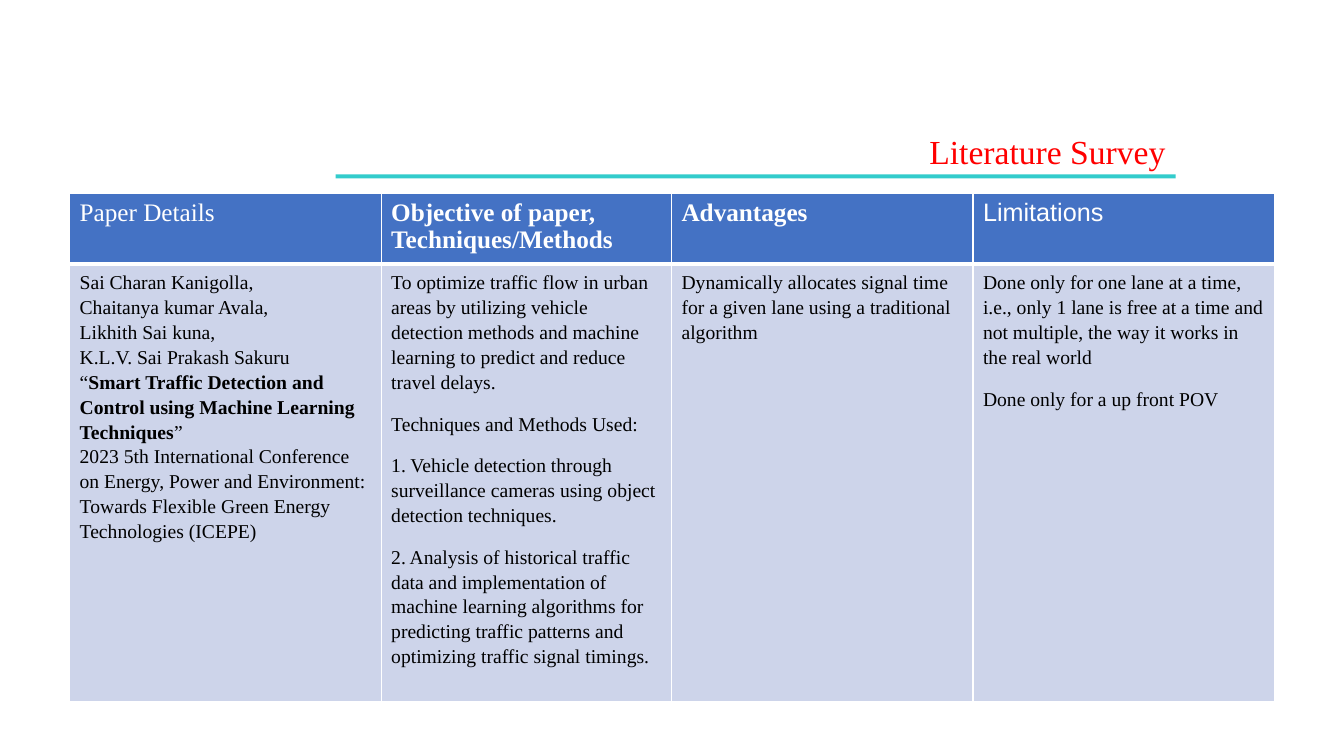
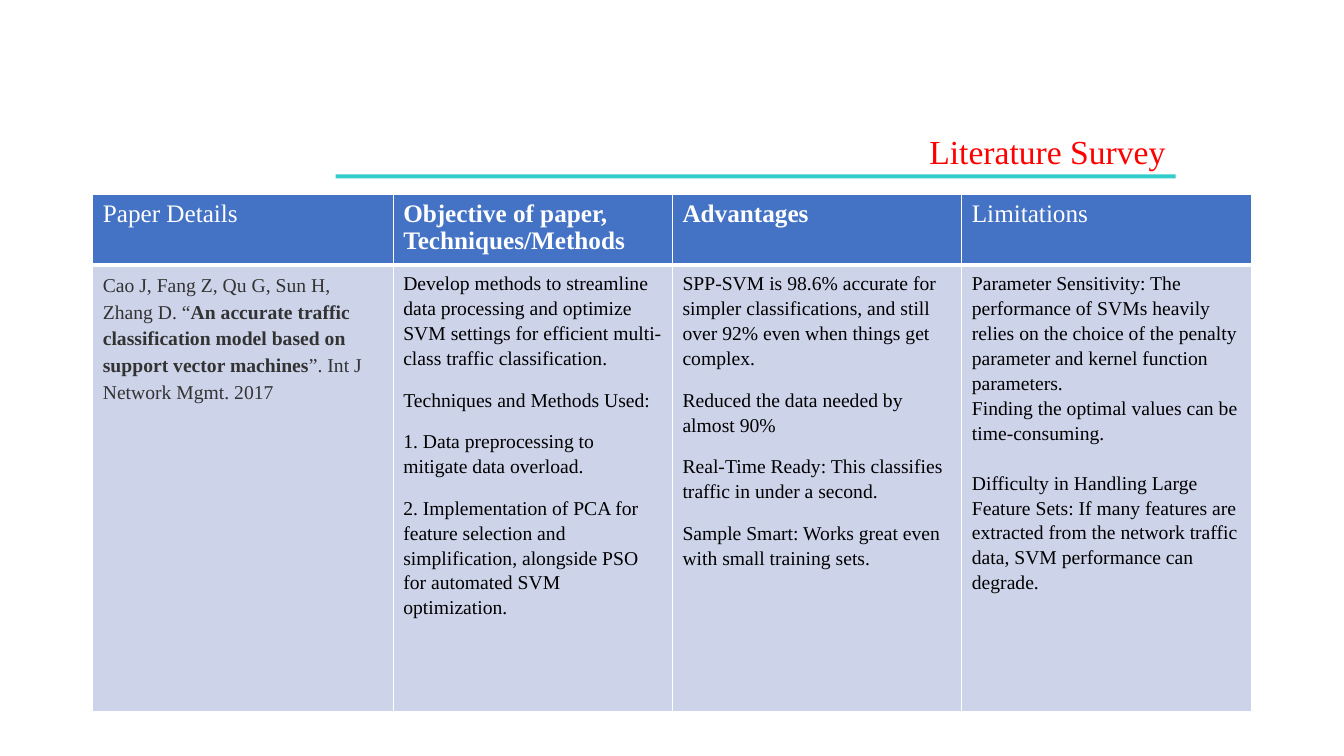
"""Build two literature survey slides, each with a title, a rule and a table."""
from dataclasses import dataclass
from itertools import cycle

from lxml.etree import SubElement as Sub
from pptx import Presentation
from pptx.dml.color import RGBColor as RGB
from pptx.enum.shapes import MSO_SHAPE as Shape
from pptx.enum.text import MSO_ANCHOR as Anchor, MSO_AUTO_SIZE as Fit, PP_ALIGN as Align
from pptx.oxml.ns import qn
from pptx.util import Inches, Pt


@dataclass(frozen=True)
class Theme:
    serif: str = "Times New Roman"
    sans: str = "Arial"
    red: str = "FF0000"
    teal: str = "33CCCC"
    blue: str = "4472C4"
    pale: str = "CDD4EA"
    white: str = "FFFFFF"
    black: str = "000000"
    gray: str = "333333"
    title: int = 24
    head: int = 18
    body: int = 14


@dataclass(frozen=True)
class Note:
    lines: tuple
    gaps: tuple = (12,)
    space: float = 1.15
    ink: str = Theme.black


class Deck:
    def __init__(self, theme):
        self.theme = theme
        self.prs = Presentation()
        self.prs.slide_width = Inches(13.33)
        self.prs.slide_height = Inches(7.5)
        self.slide = None

    def page(self, text):
        self.slide = self.prs.slides.add_slide(self.prs.slide_layouts[5])
        self.rule()
        self.title(text)

    def rule(self):
        bar = self.slide.shapes.add_shape(
            Shape.RECTANGLE, Inches(3.33), Inches(1.73), Inches(8.33), Inches(0.04))
        bar.shadow.inherit = False
        bar.fill.solid()
        bar.fill.fore_color.rgb = RGB.from_string(self.theme.teal)
        bar.line.fill.background()

    def title(self, text):
        box = self.slide.shapes.title
        box.left, box.top = Inches(4.58), Inches(1.25)
        box.width, box.height = Inches(7.08), Inches(0.5)
        frame = box.text_frame
        frame.text = text
        frame.auto_size = Fit.NONE
        frame.vertical_anchor = Anchor.TOP
        para = frame.paragraphs[0]
        para.alignment = Align.RIGHT
        self.font(para, self.theme.title, self.theme.red)

    def font(self, para, size, ink, name=None):
        font = para.font
        font.name = name or self.theme.serif
        font.size = Pt(size)
        font.color.rgb = RGB.from_string(ink)

    def table(self, left, top, widths, heights, heads, notes):
        grid = self.slide.shapes.add_table(
            2, len(widths), Inches(left), Inches(top),
            Inches(sum(widths)), Inches(sum(heights))).table
        for col, width in zip(grid.columns, widths):
            col.width = Inches(width)
        for row, height in zip(grid.rows, heights):
            row.height = Inches(height)
        for col, (head, note) in enumerate(zip(heads, notes)):
            self.head(grid.cell(0, col), *head)
            self.note(grid.cell(1, col), note)

    def head(self, cell, text, bold, name):
        self.paint(cell, self.theme.blue, bottom=3)
        cell.text = text
        para = cell.text_frame.paragraphs[0]
        self.font(para, self.theme.head, self.theme.white, name)
        para.font.bold = bold

    def note(self, cell, note):
        self.paint(cell, self.theme.pale, top=3)
        frame = cell.text_frame
        for num, (line, gap) in enumerate(zip(note.lines, cycle(note.gaps))):
            para = frame.add_paragraph() if num else frame.paragraphs[0]
            para.line_spacing = note.space
            para.space_before = Pt(gap)
            self.font(para, self.theme.body, note.ink)
            for part, text in enumerate(line.split("*")):
                run = para.add_run()
                run.text = text
                run.font.bold = part % 2 == 1

    def paint(self, cell, fill, top=1, bottom=1):
        props = cell._tc.get_or_add_tcPr()
        for side, width in zip("LRTB", (1, 1, top, bottom)):
            line = Sub(props, qn(f"a:ln{side}"), w=str(Pt(width)))
            Sub(Sub(line, qn("a:solidFill")), qn("a:srgbClr"), val=self.theme.white)
        cell.fill.solid()
        cell.fill.fore_color.rgb = RGB.from_string(fill)

    def save(self):
        self.prs.save("out.pptx")


def heads(last):
    return (("Paper Details", False, None),
            ("Objective of paper, Techniques/Methods", True, None),
            ("Advantages", True, None),
            ("Limitations", False, last))


TRAFFIC = (
    Note(("Sai Charan Kanigolla,",
          "Chaitanya kumar Avala,",
          "Likhith Sai kuna,",
          "K.L.V. Sai Prakash Sakuru",
          "“*Smart Traffic Detection and Control using Machine Learning Techniques*”",
          "2023 5th International Conference on Energy, Power and Environment: "
          "Towards Flexible Green Energy Technologies (ICEPE)"), gaps=(0,)),
    Note(("To optimize traffic flow in urban areas by utilizing vehicle detection "
          "methods and machine learning to predict and reduce travel delays.",
          "Techniques and Methods Used:",
          "1. Vehicle detection through surveillance cameras using object "
          "detection techniques.",
          "2. Analysis of historical traffic data and implementation of machine "
          "learning algorithms for predicting traffic patterns and optimizing "
          "traffic signal timings.")),
    Note(("Dynamically allocates signal time for a given lane using a "
          "traditional algorithm",)),
    Note(("Done only for one lane at a time, i.e., only 1 lane is free at a time "
          "and not multiple, the way it works in the real world",
          "Done only for a up front POV")),
)

VECTOR = (
    Note(("Cao J, Fang Z, Qu G, Sun H, Zhang D. “*An accurate traffic classification "
          "model based on support vector machines*”. Int J Network Mgmt. 2017",),
         space=1.23, ink=Theme.gray),
    Note(("Develop methods to streamline data processing and optimize SVM settings "
          "for efficient multi-class traffic classification.",
          "Techniques and Methods Used:",
          "1. Data preprocessing to mitigate data overload.",
          "2. Implementation of PCA for feature selection and simplification, "
          "alongside PSO for automated SVM optimization.")),
    Note(("SPP-SVM is 98.6% accurate for simpler classifications, and still over "
          "92% even when things get complex.",
          "Reduced the data needed by almost 90%",
          "Real-Time Ready: This classifies traffic in under a second.",
          "Sample Smart: Works great even with small training sets.")),
    Note(("Parameter Sensitivity: The performance of SVMs heavily relies on the "
          "choice of the penalty parameter and kernel function parameters.",
          "Finding the optimal values can be time-consuming.",
          "Difficulty in Handling Large Feature Sets: If many features are extracted "
          "from the network traffic data, SVM performance can degrade."),
         gaps=(0, 0, 18)),
)


def main():
    theme = Theme()
    deck = Deck(theme)
    for left, top, widths, body, last, notes in (
            (0.69, 1.92, (3.09, 2.88, 2.99, 2.99), 4.34, theme.sans, TRAFFIC),
            (0.92, 1.93, (2.98, 2.77, 2.87, 2.87), 4.43, theme.serif, VECTOR)):
        deck.page("Literature Survey")
        deck.table(left, top, widths, (0.7, body), heads(last), notes)
    deck.save()


if __name__ == "__main__":
    main()
